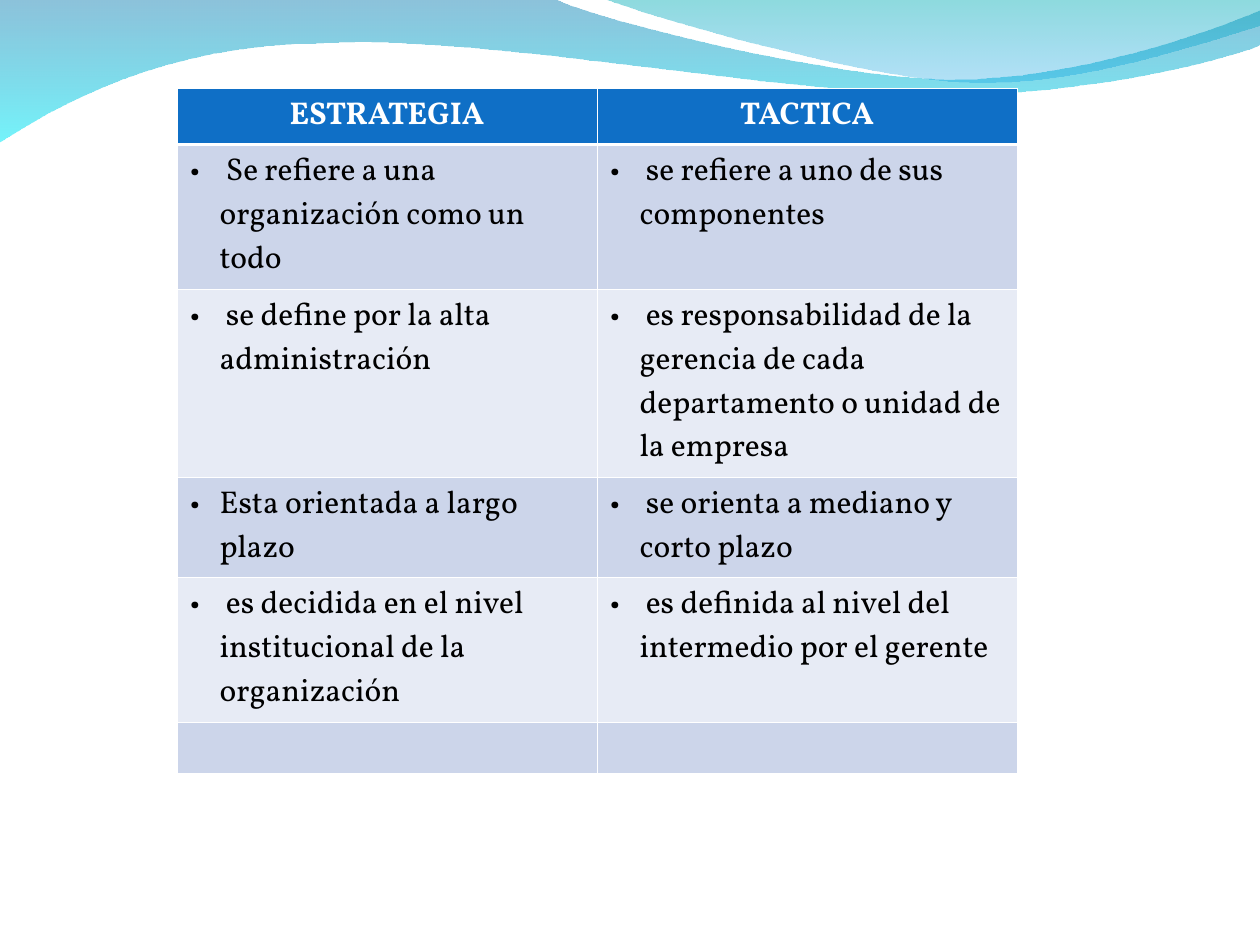
from dataclasses import dataclass
from itertools import chain

from lxml import etree
from pptx import Presentation
from pptx.dml.color import RGBColor
from pptx.enum import text
from pptx.oxml import ns
from pptx.util import Emu, Pt

EMU_PER_PX = 914400 / 126


@dataclass(frozen=True)
class Theme:
    font: str = "Vollkorn"
    size: int = 18
    header_fill: str = "0F6FC6"
    band_fills: tuple = ("CCD5EA", "E7EBF5")
    header_text: str = "FFFFFF"
    body_text: str = "000000"
    border: str = "FFFFFF"
    thin_line: float = 0.45
    thick_line: float = 1.47
    # Gradient stops: colour and opacity in percent, top to bottom
    back_wave: tuple = (("0079AF", 45), ("00EBF8", 55))
    front_wave: tuple = (("00ADB6", 45), ("009BE5", 30))


THEME = Theme()

# Outlines in px: a start point, then lines (one point) and curves (three points)
BACK_WAVE = [
    [(0, -1)],
    [(554, -1)],
    [(600, 21), (837, 79), (955, 79)],
    [(1075, 79), (1207, 33), (1260, 11)],
    [(1261, 45)],
    [(1239, 55), (1096, 96), (940, 94)],
    [(784, 94), (481, 35), (324, 43)],
    [(163, 44), (58, 105), (-1, 142)],
]
FRONT_WAVE = [
    [(604, -1)],
    [(641, 14), (859, 78), (969, 82)],
    [(1079, 87), (1211, 40), (1260, 26)],
    [(1260, 0)],
]

TABLE_LEFT, TABLE_TOP = 177, 88
COLUMN_WIDTH = 420
ROW_HEIGHTS = [50, 126, 164, 88, 126, 50]
BULLET_INDENT = 30
COMPARISON = [
    ("ESTRATEGIA", "TACTICA"),
    (" Se refiere a una organización como un todo",
     " se refiere a uno de sus componentes"),
    (" se define por la alta administración",
     " es responsabilidad de la gerencia de cada departamento o unidad de la empresa"),
    ("Esta orientada a largo plazo", " se orienta a mediano y corto plazo"),
    (" es decidida en el nivel institucional de la organización",
     " es definida al nivel del intermedio por el gerente"),
    ("", ""),
]


def px(value):
    return Emu(round(value * EMU_PER_PX))


def add_element(parent, tag, **attributes):
    element = etree.SubElement(parent, ns.qn(tag))
    for name, value in attributes.items():
        element.set(name, str(value))
    return element


def bend_curves(shape, segments):
    """Join each run of three line points into one cubic curve."""
    lines = iter(shape.element.xpath(".//a:lnTo"))
    for segment in segments[1:]:
        members = [next(lines) for _ in segment]
        if len(members) == 3:
            curve = etree.Element(ns.qn("a:cubicBezTo"))
            members[0].addprevious(curve)
            for member in members:
                curve.append(member[0])
                member.getparent().remove(member)


def add_wave(slide, segments, stops):
    start, *points = [(px(x), px(y)) for x, y in chain.from_iterable(segments)]
    builder = slide.shapes.build_freeform(*start, scale=1.0)
    builder.add_line_segments(points, close=True)
    shape = builder.convert_to_shape()
    bend_curves(shape, segments)
    shape.shadow.inherit = False
    shape.line.fill.background()
    shape.fill.gradient()
    shape.fill.gradient_angle = 270
    for stop, (color, _) in zip(shape.fill.gradient_stops, stops):
        stop.color.rgb = RGBColor.from_string(color)
    colors = shape.element.xpath(".//a:gradFill//a:srgbClr")
    for color_element, (_, opacity) in zip(colors, stops):
        add_element(color_element, "a:alpha", val=opacity * 1000)


def set_borders(cell, row_index):
    properties = cell._tc.get_or_add_tcPr()
    heavy_side = {0: "a:lnB", 1: "a:lnT"}.get(row_index)
    for side in ("a:lnL", "a:lnR", "a:lnT", "a:lnB"):
        width = THEME.thick_line if side == heavy_side else THEME.thin_line
        line = add_element(properties, side, w=Pt(width))
        add_element(add_element(line, "a:solidFill"), "a:srgbClr", val=THEME.border)


def add_bullet(paragraph):
    properties = paragraph._p.get_or_add_pPr()
    properties.set("marL", str(px(BULLET_INDENT)))
    properties.set("indent", str(-px(BULLET_INDENT)))
    add_element(add_element(properties, "a:buClr"), "a:srgbClr", val=THEME.body_text)
    add_element(properties, "a:buFont", typeface=THEME.font)
    add_element(properties, "a:buChar", char="•")


def write_cell(cell, wording, is_header):
    paragraph = cell.text_frame.paragraphs[0]
    if is_header:
        paragraph.alignment = text.PP_ALIGN.CENTER
    else:
        add_bullet(paragraph)
    run = paragraph.add_run()
    run.text = wording
    font_format = {"name": THEME.font, "size": Pt(THEME.size), "bold": is_header}
    for name, value in font_format.items():
        setattr(run.font, name, value)
    color = THEME.header_text if is_header else THEME.body_text
    run.font.color.rgb = RGBColor.from_string(color)


def add_comparison_table(slide):
    columns = len(COMPARISON[0])
    frame = slide.shapes.add_table(
        len(COMPARISON), columns, px(TABLE_LEFT), px(TABLE_TOP),
        px(columns * COLUMN_WIDTH), px(sum(ROW_HEIGHTS)))
    table = frame.table
    for column in table.columns:
        column.width = px(COLUMN_WIDTH)
    for row_index, (wordings, height) in enumerate(zip(COMPARISON, ROW_HEIGHTS)):
        table.rows[row_index].height = px(height)
        is_header = row_index == 0
        fill = THEME.header_fill if is_header else THEME.band_fills[(row_index - 1) % 2]
        for cell, wording in zip(table.rows[row_index].cells, wordings):
            set_borders(cell, row_index)
            cell.fill.solid()
            cell.fill.fore_color.rgb = RGBColor.from_string(fill)
            if wording:
                write_cell(cell, wording, is_header)


def main():
    presentation = Presentation()
    presentation.slide_width, presentation.slide_height = px(1260), px(945)
    slide = presentation.slides.add_slide(presentation.slide_layouts[6])

    # Waves along the top edge
    add_wave(slide, BACK_WAVE, THEME.back_wave)
    add_wave(slide, FRONT_WAVE, THEME.front_wave)

    # Strategy and tactics side by side
    add_comparison_table(slide)

    presentation.save("out.pptx")


if __name__ == "__main__":
    main()
